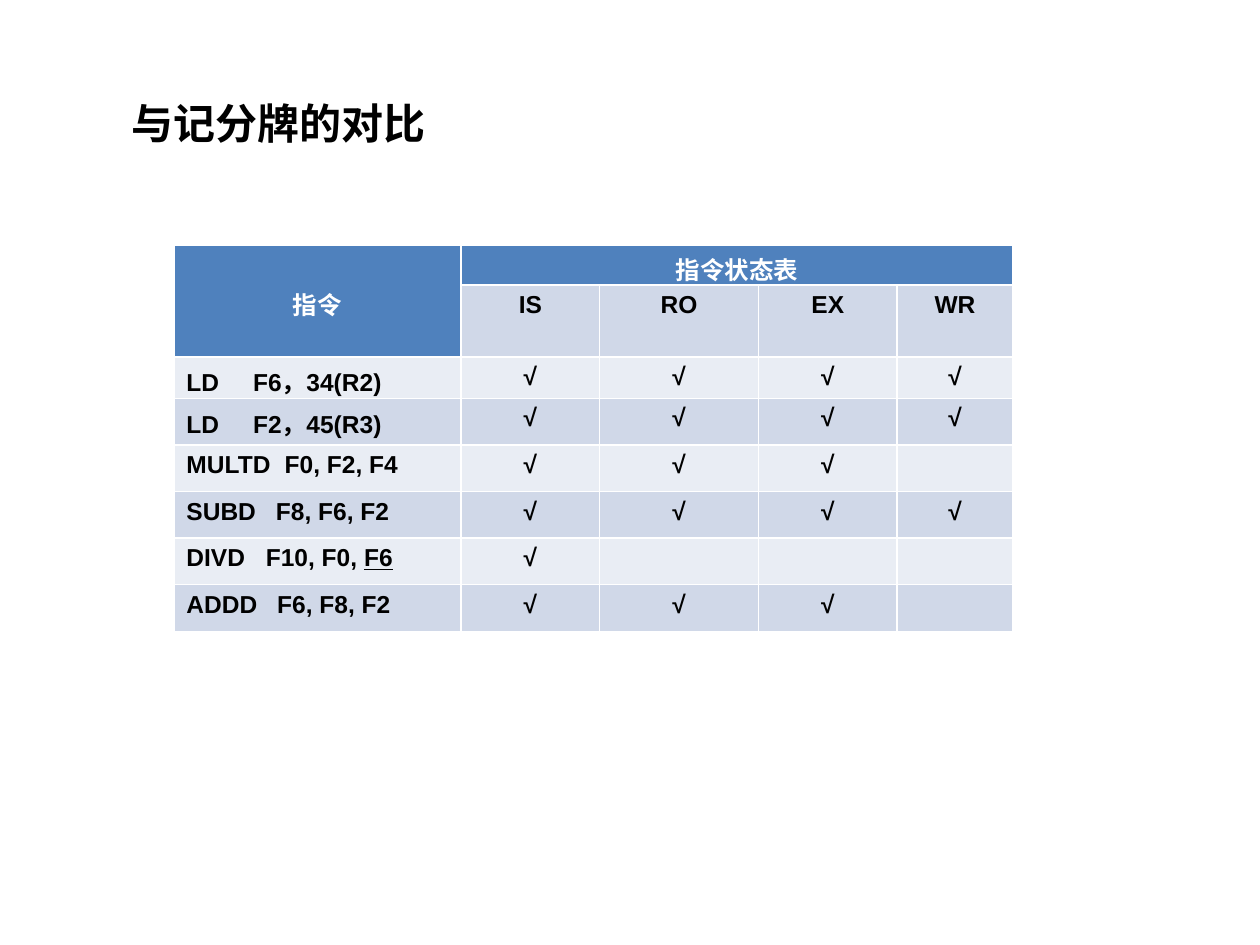
from lxml.etree import SubElement
from pptx import Presentation
from pptx.dml.color import RGBColor
from pptx.enum.text import MSO_ANCHOR as Anchor, MSO_AUTO_SIZE as AutoSize, PP_ALIGN as Align
from pptx.oxml.ns import qn
from pptx.util import Inches, Pt

BLACK = RGBColor(0x00, 0x00, 0x00)
WHITE = RGBColor(0xFF, 0xFF, 0xFF)
HEADER_BLUE = RGBColor(0x4F, 0x81, 0xBD)
BANDS = (RGBColor(0xE9, 0xED, 0xF4), RGBColor(0xD0, 0xD8, 0xE8))

TITLE_FONT = {"name": "Karla", "size": Pt(24), "bold": True}
CELL_FONT = {"name": "Arial", "size": Pt(14), "bold": True}

TITLE_BOX = (0.094, 0.096, 0.438, 0.068)
TABLE_BOX = (0.138, 0.259, 0.667, 0.409)
COLUMN_WIDTHS = (2.28, 1.1, 1.26, 1.1, 0.92)
ROW_HEIGHTS = (0.32, 0.57, 0.33) + (0.37,) * 5

STAGES = ("IS", "RO", "EX", "WR")
INSTRUCTIONS = (
    ("LD", "F6，34(R2)", "", 0.53, 4),
    ("LD", "F2，45(R3)", "", 0.53, 4),
    ("MULTD", "F0, F2, F4", "", 0.78, 3),
    ("SUBD", "F8, F6, F2", "", 0.71, 4),
    ("DIVD", "F10, F0, ", "F6", 0.63, 1),
    ("ADDD", "F6, F8, F2", "", 0.72, 3),
)


def place(presentation, shares):
    width, height = presentation.slide_width, presentation.slide_height
    left, top, across, down = shares
    return int(left * width), int(top * height), int(across * width), int(down * height)


def add_text(paragraph, text, style, color, underline=None):
    run = paragraph.add_run()
    run.text = text
    for name, value in {**style, "underline": underline}.items():
        setattr(run.font, name, value)
    run.font.color.rgb = color


def add_tab_stop(paragraph, inches):
    properties = paragraph._p.get_or_add_pPr()
    tab_list = SubElement(properties, qn("a:tabLst"))
    SubElement(tab_list, qn("a:tab"), pos=str(Inches(inches)), algn="l")


def fill_cell(cell, text, fill, color=BLACK):
    cell.fill.solid()
    cell.fill.fore_color.rgb = fill
    cell.margin_bottom = 0
    if not text:
        cell.margin_top = 0
        return
    paragraph = cell.text_frame.paragraphs[0]
    paragraph.alignment = Align.CENTER
    add_text(paragraph, text, CELL_FONT, color)


def fill_instruction(cell, operation, operands, hazard, tab, fill):
    fill_cell(cell, f"{operation}\t{operands}", fill)
    paragraph = cell.text_frame.paragraphs[0]
    paragraph.alignment = Align.LEFT
    add_tab_stop(paragraph, tab)
    if hazard:
        add_text(paragraph, hazard, CELL_FONT, BLACK, underline=True)


def add_title(slide, box):
    title = slide.shapes.title
    title.left, title.top, title.width, title.height = box
    frame = title.text_frame
    for name, value in {
        "word_wrap": True,
        "auto_size": AutoSize.SHAPE_TO_FIT_TEXT,
        "vertical_anchor": Anchor.TOP,
    }.items():
        setattr(frame, name, value)
    paragraph = frame.paragraphs[0]
    paragraph.alignment = Align.LEFT
    add_text(paragraph, "与记分牌的对比", TITLE_FONT, BLACK)


def add_status_table(slide, box):
    table = slide.shapes.add_table(len(ROW_HEIGHTS), len(COLUMN_WIDTHS), *box).table
    for column, width in zip(table.columns, COLUMN_WIDTHS):
        column.width = Inches(width)
    for row, height in zip(table.rows, ROW_HEIGHTS):
        row.height = Inches(height)

    for column in range(len(COLUMN_WIDTHS)):
        heading = ("指令", "指令状态表")[column] if column < 2 else ""
        fill_cell(table.cell(0, column), heading, HEADER_BLUE, WHITE)
    fill_cell(table.cell(1, 0), "", HEADER_BLUE)
    for column, stage in enumerate(STAGES, 1):
        fill_cell(table.cell(1, column), stage, BANDS[1])
    table.cell(0, 0).merge(table.cell(1, 0))
    table.cell(0, 1).merge(table.cell(0, len(STAGES)))
    table.cell(0, 0).vertical_anchor = Anchor.MIDDLE

    for row, (operation, operands, hazard, tab, done) in enumerate(INSTRUCTIONS, 2):
        fill = BANDS[row % 2]
        fill_instruction(table.cell(row, 0), operation, operands, hazard, tab, fill)
        for column in range(1, len(STAGES) + 1):
            fill_cell(table.cell(row, column), "√" if column <= done else "", fill)


def main():
    presentation = Presentation()
    presentation.slide_width, presentation.slide_height = Inches(10), Inches(7.5)
    slide = presentation.slides.add_slide(presentation.slide_layouts.get_by_name("Title Only"))
    add_title(slide, place(presentation, TITLE_BOX))
    add_status_table(slide, place(presentation, TABLE_BOX))
    presentation.save("out.pptx")


if __name__ == "__main__":
    main()
